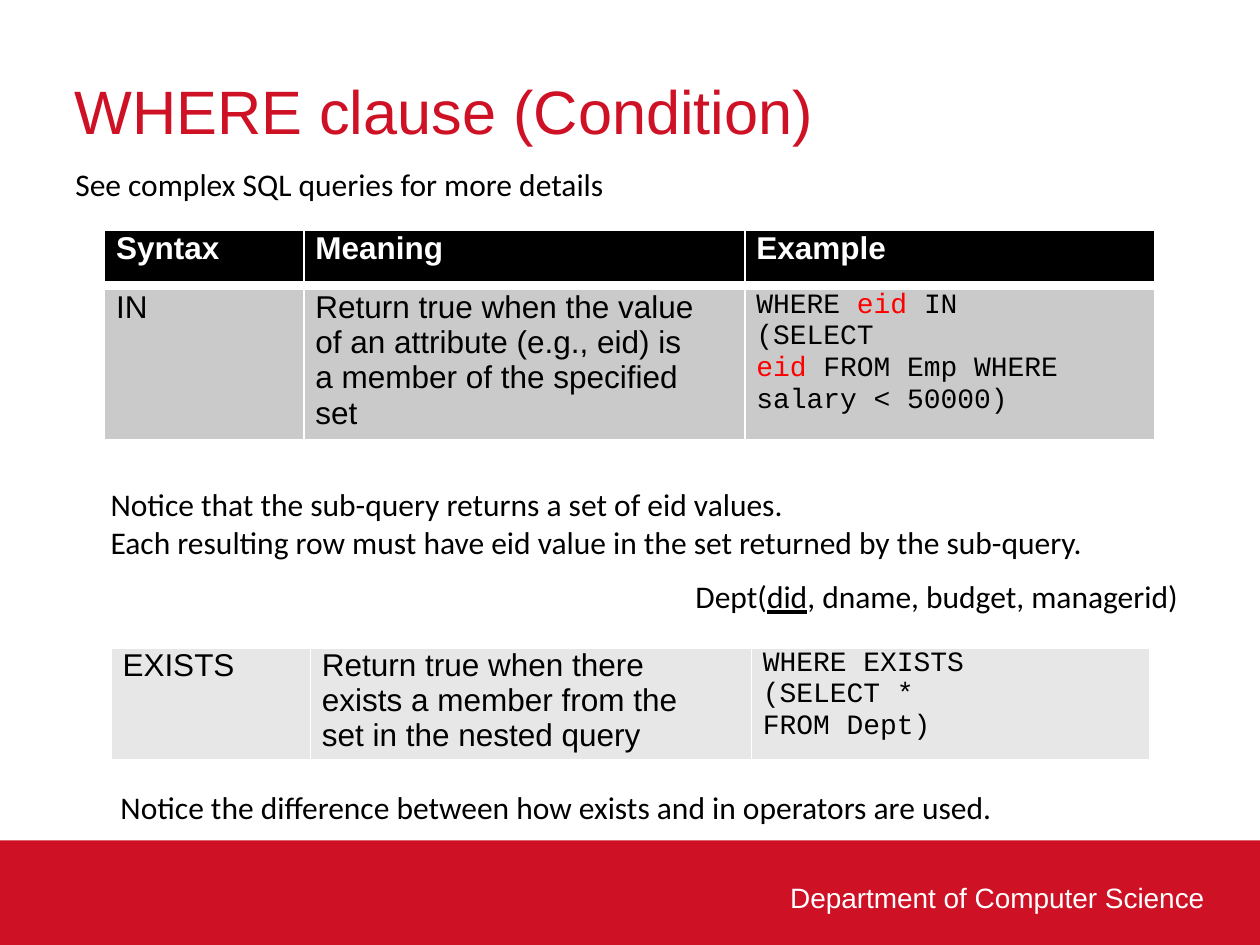
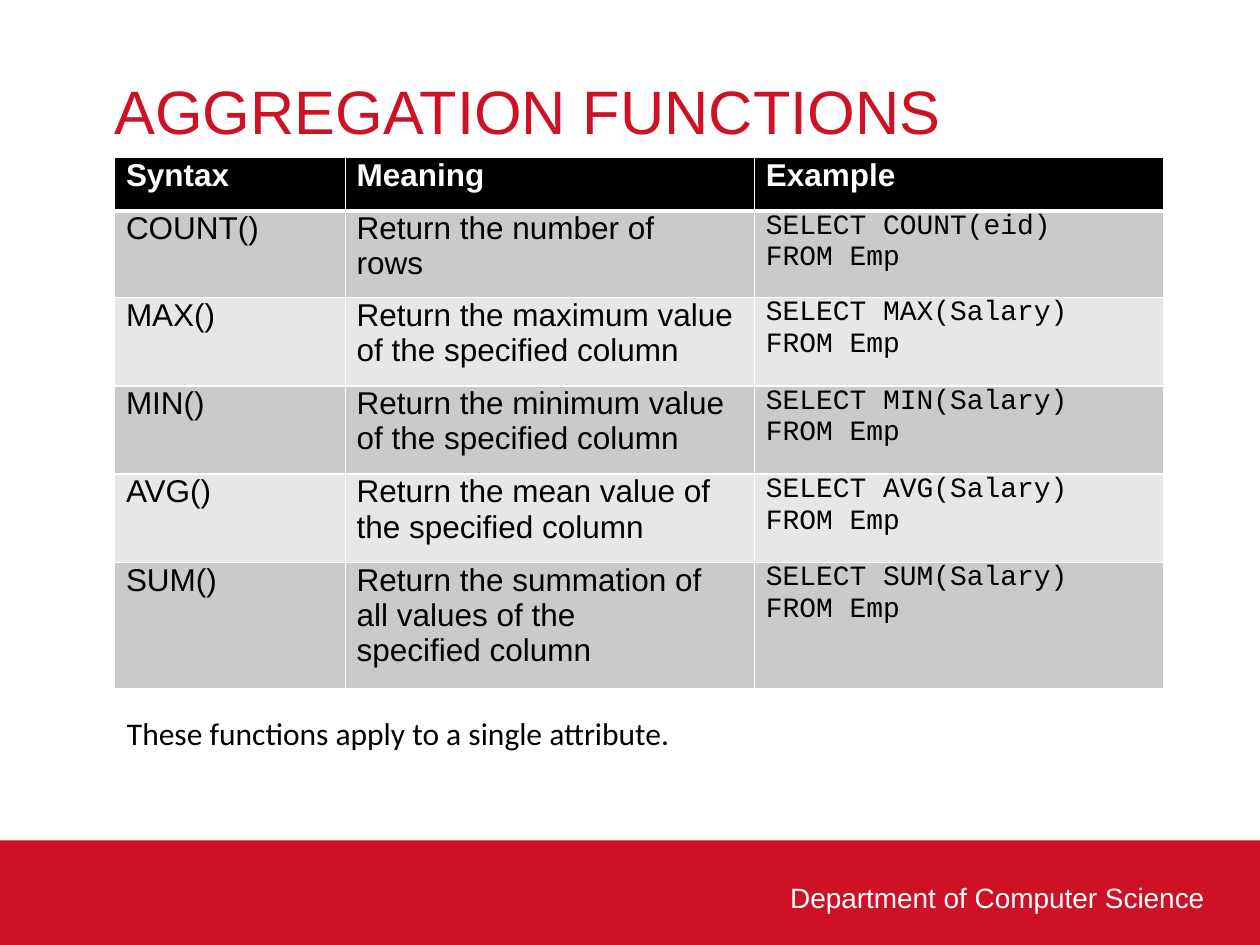
"""Build two SQL lecture slides: the WHERE clause and the aggregation functions."""
from dataclasses import dataclass
from typing import NamedTuple, Optional, Union

from lxml.etree import SubElement
from pptx import Presentation
from pptx.dml.color import RGBColor
from pptx.enum.shapes import MSO_SHAPE
from pptx.enum.text import MSO_ANCHOR, MSO_AUTO_SIZE, PP_ALIGN
from pptx.oxml.ns import qn
from pptx.util import Cm, Pt

COLORS = {
    "brand": "CE1125",
    "white": "FFFFFF",
    "black": "000000",
    "highlight": "FF0000",
    "dark_row": "CACACA",
    "light_row": "E7E7E7",
}
HEADINGS = ("Syntax", "Meaning", "Example")
HEADER_HEIGHT = 1.07
CELL_INDENT = 0.23
CODE_MARGIN = 1.5
NOTE_HEIGHT = 1.02


class Span(NamedTuple):
    """A piece of a paragraph with its own colour or underline."""
    text: str
    color: Optional[str] = None
    underline: bool = False


class Box(NamedTuple):
    """A place on the slide in centimetres."""
    left: float
    top: float
    width: float
    height: float

    def lengths(self) -> list:
        """Return the four sides as lengths."""
        return [Cm(side) for side in self]


Paragraph = Union[str, list[Span]]


@dataclass
class SqlRow:
    """One operator or function with its meaning and example."""
    syntax: str
    meaning: list[Paragraph]
    example: list[Paragraph]
    height: float
    fill: str = "dark_row"
    meaning_margin: float = 0.9


@dataclass
class SqlTable:
    """A table of SQL syntax, with or without its heading row."""
    left: float
    top: float
    columns: tuple[float, ...]
    rows: list[SqlRow]
    has_header: bool = False


@dataclass
class Note:
    """A free line of remarks."""
    box: Box
    paragraphs: list[Paragraph]


@dataclass
class Lesson:
    """The content of one slide."""
    title: str
    title_left: float
    tables: list[SqlTable]
    notes: list[Note]


def write(frame, paragraphs: list[Paragraph], *, font: str = "Arial", size: float = 18,
          color: str = "black", bold: bool = False) -> None:
    """Fill a text frame with formatted paragraphs."""
    for index, content in enumerate(paragraphs):
        paragraph = frame.add_paragraph() if index else frame.paragraphs[0]
        paragraph.alignment = PP_ALIGN.LEFT
        for span in [Span(content)] if isinstance(content, str) else content:
            run = paragraph.add_run()
            run.text = span.text
            run.font.name, run.font.size, run.font.bold = font, Pt(size), bold
            run.font.underline = span.underline
            run.font.color.rgb = RGBColor.from_string(COLORS[span.color or color])


def clear_margins(frame) -> None:
    """Take away the insets and start the text at the top."""
    frame.margin_left = frame.margin_top = frame.margin_right = frame.margin_bottom = 0
    frame.vertical_anchor = MSO_ANCHOR.TOP
    frame.auto_size = MSO_AUTO_SIZE.NONE


def add_borders(cell, **widths: float) -> None:
    """Draw white cell borders, given as side=points."""
    properties = cell._tc.get_or_add_tcPr()
    for side in "LRTB":
        line = SubElement(properties, qn(f"a:ln{side}"), w=str(Pt(widths.get(side, 1))))
        SubElement(SubElement(line, qn("a:solidFill")), qn("a:srgbClr"), val=COLORS["white"])


def fill_cell(cell, paragraphs: list[Paragraph], fill: str, borders: dict[str, float],
              right_margin: float = 0, **text_format) -> None:
    """Format one cell and write its text."""
    cell.margin_left, cell.margin_right = Cm(CELL_INDENT), Cm(right_margin)
    cell.margin_top = cell.margin_bottom = 0
    cell.vertical_anchor = MSO_ANCHOR.TOP
    add_borders(cell, **borders)
    cell.fill.solid()
    cell.fill.fore_color.rgb = RGBColor.from_string(COLORS[fill])
    write(cell.text_frame, paragraphs, **text_format)


def add_grid(slide, left: float, top: float, columns: tuple[float, ...], heights: list[float]):
    """Add a plain table with the given column widths and row heights."""
    box = Box(left, top, sum(columns), sum(heights))
    grid = slide.shapes.add_table(len(heights), len(columns), *box.lengths()).table
    grid.first_row = grid.horz_banding = False
    for column, width in zip(grid.columns, columns):
        column.width = Cm(width)
    for row, height in zip(grid.rows, heights):
        row.height = Cm(height)
    return grid


def add_sql_table(slide, table: SqlTable) -> None:
    """Draw a syntax table."""
    heights = [HEADER_HEIGHT] * table.has_header + [row.height for row in table.rows]
    grid = add_grid(slide, table.left, table.top, table.columns, heights)
    if table.has_header:
        for column, heading in enumerate(HEADINGS):
            fill_cell(grid.cell(0, column), [heading], "black", {"B": 3},
                      color="white", bold=True)
    for index, row in enumerate(table.rows, start=int(table.has_header)):
        borders = {"T": 3} if table.has_header and index == 1 else {}
        syntax, meaning, example = grid.rows[index].cells
        fill_cell(syntax, [row.syntax], row.fill, borders)
        fill_cell(meaning, row.meaning, row.fill, borders, row.meaning_margin)
        fill_cell(example, row.example, row.fill, borders, CODE_MARGIN,
                  font="Courier New", size=16)


def add_note(slide, note: Note) -> None:
    """Add an unwrapped remark."""
    frame = slide.shapes.add_textbox(*note.box.lengths()).text_frame
    frame.word_wrap = False
    write(frame, note.paragraphs, font="Calibri")


def add_footer(slide) -> None:
    """Draw the coloured band and the department name."""
    band = slide.shapes.add_shape(MSO_SHAPE.RECTANGLE, *Box(0, 16.94, 25.4, 2.11).lengths())
    band.shadow.inherit = False
    band.fill.solid()
    band.fill.fore_color.rgb = RGBColor.from_string(COLORS["brand"])
    band.line.fill.background()
    department = slide.shapes.add_textbox(*Box(15.93, 17.75, 8.46, 0.64).lengths()).text_frame
    clear_margins(department)
    write(department, ["Department of Computer Science"], size=16, color="white")


def add_lesson(deck, lesson: Lesson) -> None:
    """Build one slide from its content."""
    slide = deck.slides.add_slide(deck.slide_layouts.get_by_name("Title Only"))
    title = slide.shapes.title
    title_box = Box(lesson.title_left, 1.47, 23.92 - lesson.title_left, 1.5)
    title.left, title.top, title.width, title.height = title_box.lengths()
    clear_margins(title.text_frame)
    write(title.text_frame, [lesson.title], size=35, color="brand")
    add_footer(slide)
    for table in lesson.tables:
        add_sql_table(slide, table)
    for note in lesson.notes:
        add_note(slide, note)


WHERE_COLUMNS = (4.02, 8.89, 8.25)

WHERE_CLAUSE = Lesson(
    "WHERE clause (Condition)", 1.5,
    [
        SqlTable(2.11, 4.65, WHERE_COLUMNS, [], has_header=True),
        SqlTable(2.11, 5.84, WHERE_COLUMNS, [SqlRow(
            "IN",
            ["Return true when the value of an attribute (e.g., eid) "
             "is a member of the specified set"],
            [[Span("WHERE "), Span("eid ", "highlight"), Span("IN")],
             "(SELECT",
             [Span("eid ", "highlight"), Span("FROM Emp WHERE salary < 50000)")]],
            3.02)]),
        SqlTable(2.24, 13.06, (4.02, 8.89, 8.03), [SqlRow(
            "EXISTS",
            ["Return true when there exists a member from the", "set in the nested query"],
            ["WHERE EXISTS", "(SELECT *", "FROM Dept)"],
            2.26, "light_row")]),
    ],
    [
        Note(Box(13.77, 11.51, 10.36, NOTE_HEIGHT),
             [[Span("Dept("), Span("did", underline=True),
               Span(", dname, budget, managerid)")]]),
        Note(Box(1.98, 9.65, 20.24, 1.8),
             ["Notice that the sub-query returns a set of eid values.",
              "Each resulting row must have eid value in the set returned by the sub-query."]),
        Note(Box(2.18, 15.77, 18.16, NOTE_HEIGHT),
             ["Notice the difference between how exists and in operators are used."]),
        Note(Box(1.27, 3.2, 11.3, NOTE_HEIGHT), ["See complex SQL queries for more details"]),
    ],
)

AGGREGATION = Lesson(
    "AGGREGATION FUNCTIONS", 2.31,
    [SqlTable(2.31, 3.18, (4.65, 8.25, 8.25), [
        SqlRow("COUNT()", ["Return the number of rows"],
               ["SELECT COUNT(eid) FROM Emp"], 1.75, meaning_margin=1),
        SqlRow("MAX()", ["Return the maximum value", "of the specified column"],
               ["SELECT MAX(Salary)", "FROM Emp"], 1.78, "light_row", 0.3),
        SqlRow("MIN()", ["Return the minimum value of the specified column"],
               ["SELECT MIN(Salary) FROM Emp"], 1.78, meaning_margin=0.3),
        SqlRow("AVG()", ["Return the mean value of the specified column"],
               ["SELECT AVG(Salary) FROM Emp"], 1.78, "light_row", 0.3),
        SqlRow("SUM()", ["Return the summation of all values of the specified column"],
               ["SELECT SUM(Salary)", "FROM Emp"], 2.54, meaning_margin=1),
    ], has_header=True)],
    [Note(Box(2.31, 14.27, 11.61, NOTE_HEIGHT),
          ["These functions apply to a single attribute."])],
)


def main() -> None:
    """Build and save the deck."""
    deck = Presentation()
    deck.slide_width, deck.slide_height = Cm(25.4), Cm(19.05)
    for lesson in (WHERE_CLAUSE, AGGREGATION):
        add_lesson(deck, lesson)
    deck.save("out.pptx")


if __name__ == "__main__":
    main()
